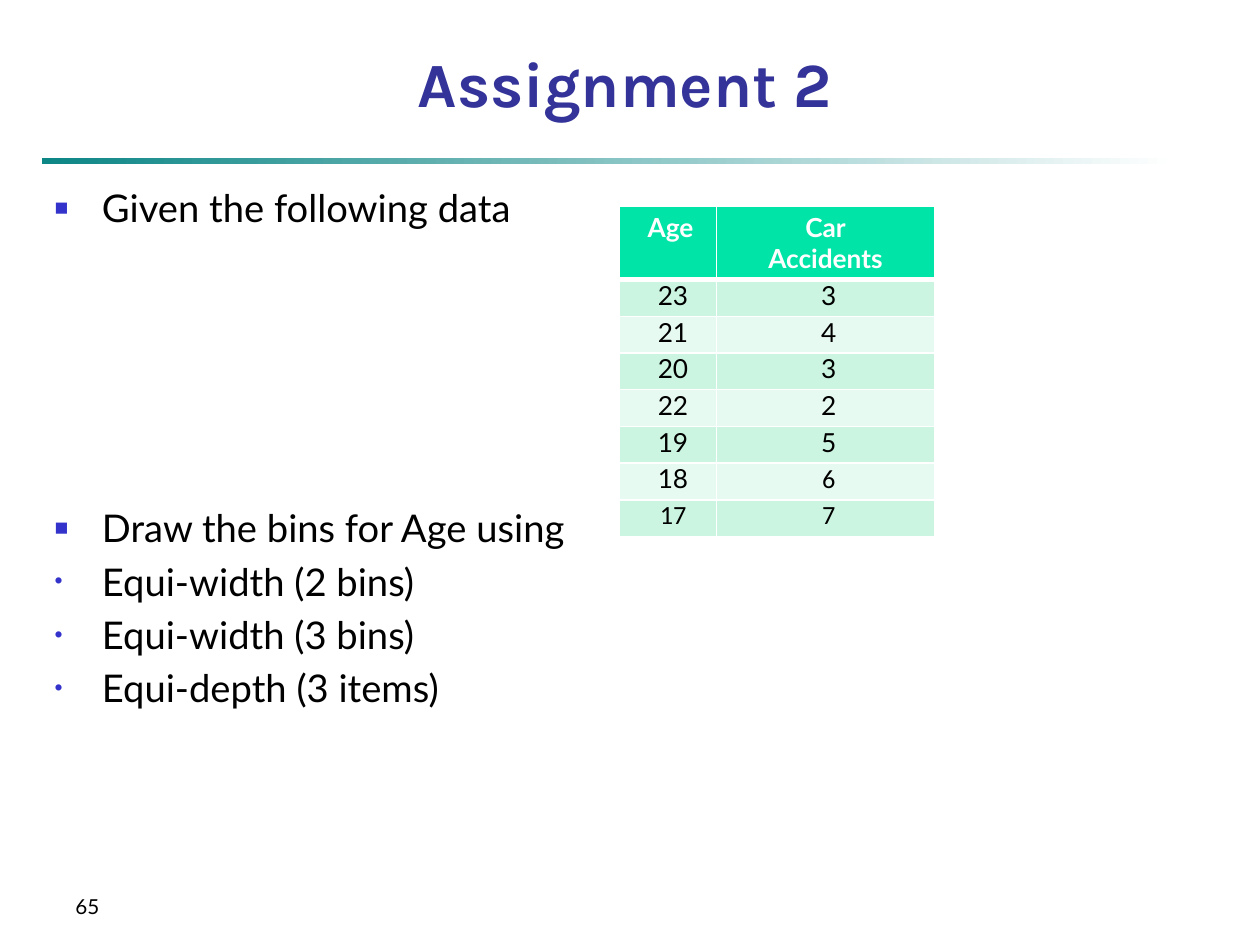
"""Build the Assignment 2 slide: a bulleted task list beside a table of ages and car accidents."""
from lxml.etree import SubElement
from pptx import Presentation
from pptx.dml.color import RGBColor
from pptx.enum.shapes import MSO_SHAPE
from pptx.enum.text import MSO_ANCHOR, MSO_AUTO_SIZE, PP_ALIGN
from pptx.oxml.ns import qn
from pptx.util import Pt

COLORS = {
    "title": "333399", "bullet": "3333CC", "text": "000000", "white": "FFFFFF",
    "bar": "0D8686", "header": "00E4A8", "band": "CCF5E1", "light": "E7FAF1",
}


def add_span(para, text, size, color="text", font="Lato", bold=False):
    span = para.add_run()
    span.text = text
    span.font.name = font
    span.font.size = Pt(size)
    span.font.bold = bold
    span.font.color.rgb = RGBColor.from_string(COLORS[color])


def add_borders(cell, bottom):
    properties = cell._tc.get_or_add_tcPr()
    for side, width in (("lnL", 1), ("lnR", 1), ("lnT", 1), ("lnB", bottom)):
        line = SubElement(properties, qn(f"a:{side}"), w=str(Pt(width)))
        fill = SubElement(line, qn("a:solidFill"))
        SubElement(fill, qn("a:srgbClr"), val=COLORS["white"])


deck = Presentation()
deck.slide_width, deck.slide_height = Pt(720), Pt(540)
page = deck.slides.add_slide(deck.slide_layouts[1])

title = page.shapes.title
title.left, title.top, title.width, title.height = Pt(12), Pt(24), Pt(690), Pt(48)
title.text_frame.auto_size = MSO_AUTO_SIZE.NONE
title.text_frame.vertical_anchor = MSO_ANCHOR.BOTTOM
para = title.text_frame.paragraphs[0]
para.alignment = PP_ALIGN.CENTER
add_span(para, "Assignment 2", 36, "title", "Karla", True)

bar = page.shapes.add_shape(MSO_SHAPE.RECTANGLE, Pt(24), Pt(90), Pt(648), Pt(3.6))
bar.shadow.inherit = False
bar.line.fill.background()
bar.fill.gradient()
bar.fill.gradient_angle = 0
for stop, name in zip(bar.fill.gradient_stops, ("bar", "white")):
    stop.color.rgb = RGBColor.from_string(COLORS[name])

body = page.placeholders[1]
body.left, body.top, body.width, body.height = Pt(24), Pt(102), Pt(660), Pt(408)
body.text_frame.auto_size = MSO_AUTO_SIZE.NONE
tasks = [
    ("■", "Given the following data", 0),
    ("■", "Draw the bins for Age using", 156.5),
    ("•", "Equi-width (2 bins)", 4.36),
    ("•", "Equi-width (3 bins)", 4.36),
    ("•", "Equi-depth (3 items)", 4.36),
]
for index, (bullet, text, space) in enumerate(tasks):
    para = body.text_frame.add_paragraph() if index else body.text_frame.paragraphs[0]
    para.space_before = Pt(space)
    properties = para._p.get_or_add_pPr()
    properties.set("marL", str(Pt(27)))
    properties.set("indent", str(Pt(-27)))
    tint = SubElement(properties, qn("a:buClr"))
    SubElement(tint, qn("a:srgbClr"), val=COLORS["bullet"])
    SubElement(properties, qn("a:buSzPct"), val="60000")
    SubElement(properties, qn("a:buChar"), char=bullet)
    add_span(para, text, 21.8)

number = page.shapes.add_textbox(Pt(36), Pt(492), Pt(168), Pt(36.5))
number.text_frame.word_wrap = True
number.text_frame.vertical_anchor = MSO_ANCHOR.BOTTOM
add_span(number.text_frame.paragraphs[0], "65", 11.8)

rows = [
    ("Age", "Car\nAccidents"), ("23", "3"), ("21", "4"), ("20", "3"),
    ("22", "2"), ("19", "5"), ("18", "6"), ("17", "7"),
]
calibri_cells = {(6, 1), (7, 0), (7, 1)}
table = page.shapes.add_table(len(rows), 2, Pt(354), Pt(118), Pt(180), Pt(188)).table
for column, width in zip(table.columns, (55.5, 124.5)):
    column.width = Pt(width)
for r, values in enumerate(rows):
    header = r == 0
    table.rows[r].height = Pt(41 if header else 21)
    fill_name = "header" if header else "band" if r % 2 else "light"
    for c, value in enumerate(values):
        cell = table.cell(r, c)
        cell.margin_left = cell.margin_bottom = Pt(2.88)
        cell.margin_right = Pt(2.88 if c else 0)
        cell.margin_top = Pt(2.88 if header else 0)
        add_borders(cell, 3 if header else 1)
        cell.fill.solid()
        cell.fill.fore_color.rgb = RGBColor.from_string(COLORS[fill_name])
        for index, text in enumerate(value.split("\n")):
            frame = cell.text_frame
            para = frame.add_paragraph() if index else frame.paragraphs[0]
            para.alignment = PP_ALIGN.CENTER
            if not header:
                para._p.get_or_add_pPr().set("marL", str(Pt(3.6 if c else 2.88)))
            font = "Calibri" if (r, c) in calibri_cells else "Lato"
            add_span(para, text, 15, "white" if header else "text", font, header)

deck.save("out.pptx")
